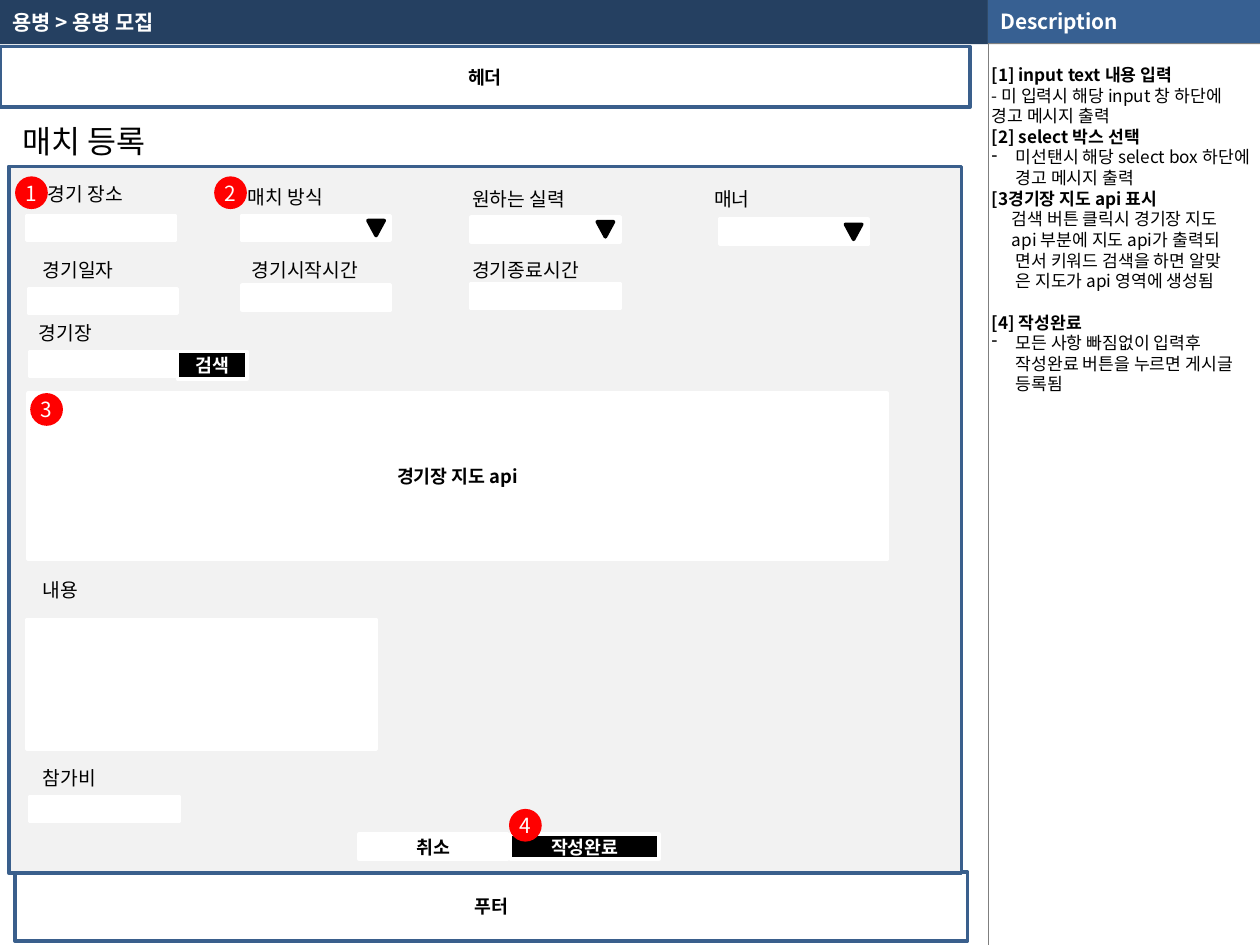
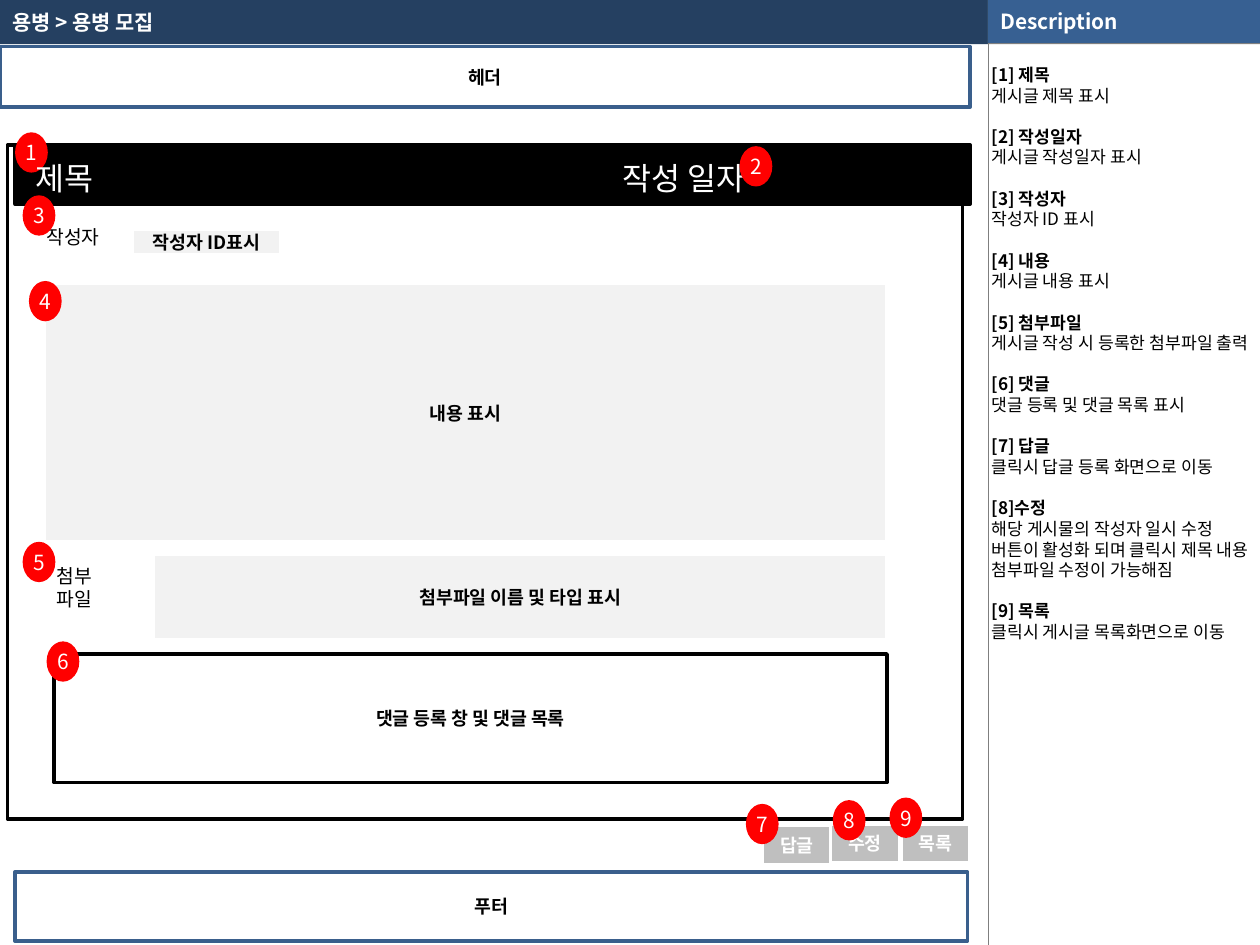
from dataclasses import dataclass

from lxml import etree
from pptx import Presentation
from pptx.dml.color import RGBColor
from pptx.enum.shapes import MSO_CONNECTOR, MSO_SHAPE
from pptx.enum.text import MSO_ANCHOR, PP_ALIGN
from pptx.oxml.ns import qn
from pptx.util import Inches, Pt

RECT, OVAL, MERGE = MSO_SHAPE.RECTANGLE, MSO_SHAPE.OVAL, MSO_SHAPE.FLOWCHART_MERGE
STRAIGHT = MSO_CONNECTOR.STRAIGHT
LEFT, CENTER = PP_ALIGN.LEFT, PP_ALIGN.CENTER
TOP, MIDDLE = MSO_ANCHOR.TOP, MSO_ANCHOR.MIDDLE

# The slide is a grid of 1000 columns by 750 rows.
COLS, ROWS = 1000, 750
WIDTH, HEIGHT = Inches(10), Inches(7.5)
SPLIT, BAND = 784, 35

FONT = "Noto Sans CJK KR"
LEADING = 1.2
HEAD_PT, NOTE_PT, BOX_PT, LABEL_PT, BIG_PT = 11.9, 9.8, 10.5, 11, 18
WHITE, BLACK, RED = "FFFFFF", "000000", "FF0000"
NAVY, BLUE, FRAME = "254061", "376092", "3A5F8C"
PALE, SILVER, GRAY, RULE = "F2F2F2", "BFBFBF", "808080", "7F7F7F"


@dataclass
class Panel:
    col: float
    row: float
    wide: float
    high: float
    text: str = ""
    fill: str = WHITE
    line: str = WHITE
    ink: str = BLACK


@dataclass
class Label:
    col: float
    row: float
    text: str
    wide: float = 173
    high: float = 29
    size: float = LABEL_PT
    ink: str = BLACK


@dataclass
class Badge:
    text: str
    col: float
    row: float
    high: float = 26


@dataclass
class Note:
    text: str
    bold: bool = False
    bullet: bool = False
    inset: float = 0
    gap: bool = False


def rgb(code: str) -> RGBColor:
    return RGBColor.from_string(code)


def across(cols: float) -> int:
    return round(WIDTH * cols / COLS)


def down(rows: float) -> int:
    return round(HEIGHT * rows / ROWS)


def area(col: float, row: float, wide: float, high: float) -> tuple:
    return across(col), down(row), across(wide), down(high)


def style(para, size: float, ink: str, bold: bool = False, align=LEFT) -> None:
    para.alignment = align
    para.line_spacing = Pt(round(size * LEADING, 1))
    font = para.font
    font.name, font.size, font.bold = FONT, Pt(size), bold
    font.color.rgb = rgb(ink)
    base = para._p.pPr.find(qn("a:defRPr"))
    etree.SubElement(base, qn("a:ea"), typeface=FONT)


def pad(frame, side: float, edge: float = 0) -> None:
    frame.margin_left = frame.margin_right = across(side)
    frame.margin_top = frame.margin_bottom = down(edge)


def add_form(slide, kind, place: tuple, fill: str, line: str = ""):
    """Add a flat preset shape, outlined only when a line colour is given."""
    form = slide.shapes.add_shape(kind, *area(*place))
    form.shadow.inherit = False
    form.fill.solid()
    form.fill.fore_color.rgb = rgb(fill)
    if line:
        form.line.color.rgb = rgb(line)
        form.line.width = Pt(2)
    else:
        form.line.fill.background()
    return form


def write(form, text: str, size: float, ink: str, bold: bool, align=CENTER) -> None:
    frame = form.text_frame
    frame.vertical_anchor = MIDDLE
    frame.text = text
    style(frame.paragraphs[0], size, ink, bold, align)


def add_panel(slide, item: Panel) -> None:
    place = (item.col, item.row, item.wide, item.high)
    form = add_form(slide, RECT, place, item.fill, item.line)
    if item.text:
        write(form, item.text, BOX_PT, item.ink, True)


def add_label(slide, item: Label) -> None:
    box = slide.shapes.add_textbox(*area(item.col, item.row, item.wide, item.high))
    frame = box.text_frame
    frame.word_wrap = True
    frame.text = item.text
    style(frame.paragraphs[0], item.size, item.ink)


def add_badge(slide, item: Badge) -> None:
    form = add_form(slide, OVAL, (item.col, item.row, 26, item.high), RED)
    pad(form.text_frame, 0)
    form.text_frame.word_wrap = False
    write(form, item.text, HEAD_PT, WHITE, False)


DRAW = {Panel: add_panel, Label: add_label, Badge: add_badge}


def add_rule(slide, top: float, end: float, ink: str) -> None:
    rule = slide.shapes.add_connector(
        STRAIGHT, across(SPLIT), down(top), across(SPLIT), down(end))
    rule.line.color.rgb = rgb(ink)
    rule.line.width = Pt(0.25)
    etree.SubElement(rule._element.spPr, qn("a:effectLst"))


def add_notes(slide, notes: list[Note]) -> None:
    box = slide.shapes.add_textbox(*area(783, 51, 217, 699))
    frame = box.text_frame
    frame.word_wrap = True
    frame.vertical_anchor = TOP
    pad(frame, 4)
    for rank, note in enumerate(notes):
        para = frame.paragraphs[0] if rank == 0 else frame.add_paragraph()
        para.text = note.text
        props = para._p.get_or_add_pPr()
        if note.bullet:
            props.set("marL", str(across(19)))
            props.set("indent", str(-across(19)))
            etree.SubElement(props, qn("a:buChar"), char="-")
        elif note.inset:
            props.set("marL", str(across(note.inset)))
        if note.gap:
            para.space_before = Pt(round(NOTE_PT * LEADING, 1))
        style(para, NOTE_PT, BLACK, note.bold)


def add_page(deck, notes: list[Note], items: list) -> None:
    """Add a slide with the shared bands, header and footer, then its items."""
    slide = deck.slides.add_slide(deck.slide_layouts[5])
    title = slide.shapes.title
    title.left, title.top, title.width, title.height = area(0, 0, SPLIT, BAND)
    title.fill.solid()
    title.fill.fore_color.rgb = rgb(NAVY)
    write(title, "용병 > 용병 모집", HEAD_PT, WHITE, True, LEFT)

    side = COLS - SPLIT
    add_form(slide, RECT, (SPLIT, 0, side, BAND), GRAY)
    add_rule(slide, 0, BAND, WHITE)
    add_rule(slide, BAND - 1, ROWS, RULE)
    head = add_form(slide, RECT, (SPLIT, 0, side, BAND - 1), BLUE)
    write(head, "Description", HEAD_PT, WHITE, True, LEFT)
    add_notes(slide, notes)

    frames = [Panel(0, 37, 770, 48, "헤더", line=FRAME),
              Panel(12, 692, 756, 55, "푸터", line=FRAME)]
    for item in frames + items:
        DRAW[type(item)](slide, item)
        if item in PICKS:
            add_form(slide, MERGE, (item.col + 100, item.row + 4, 13, 12), BLACK, BLACK)


def field(col: float, row: float) -> Panel:
    return Panel(col, row, 118, 20)


# Fields that open a list carry a triangle.
PICKS = [field(192, 171), field(374, 172), field(571, 174)]

FORM_NOTES = [
    Note("[1] input text 내용 입력", bold=True),
    Note("- 미 입력시 해당 input 창 하단에 경고 메시지 출력"),
    Note("[2] select 박스 선택", bold=True),
    Note("미선탠시 해당 select box 하단에 경고 메시지 출력", bullet=True),
    Note("[3경기장 지도 api 표시", bold=True),
    Note("검색 버튼 클릭시 경기장 지도", inset=16),
    Note("api 부분에 지도 api가 출력되", inset=16),
    Note("면서 키워드 검색을 하면 알맞", inset=19),
    Note("은 지도가 api 영역에 생성됨", inset=19),
    Note("[4] 작성완료", bold=True, gap=True),
    Note("모든 사항 빠짐없이 입력후 작성완료 버튼을 누르면 게시글 등록됨", bullet=True),
]

FORM_ITEMS = [
    Panel(7, 132, 756, 561, fill=PALE, line=FRAME),
    Label(8, 92, "매치 등록", high=40, size=BIG_PT),
    Label(28, 140, "경기 장소"),
    Label(187, 142, "매치 방식"),
    Label(365, 144, "원하는 실력"),
    Label(557, 144, "매너"),
    Label(24, 200, "경기일자"),
    Label(190, 200, "경기시작시간"),
    Label(365, 200, "경기종료시간"),
    Label(21, 250, "경기장"),
    Label(24, 454, "내용"),
    Label(24, 603, "참가비"),
    field(21, 171),
    *PICKS,
    field(23, 229),
    field(192, 226),
    field(374, 225),
    Panel(24, 279, 116, 20),
    Panel(141, 279, 55, 22, "검색", BLACK, ink=WHITE),
    Panel(22, 312, 682, 132, "경기장 지도 api"),
    Panel(21, 492, 278, 103),
    field(24, 632),
    Panel(405, 662, 118, 20, "작성완료", BLACK, ink=WHITE),
    Panel(285, 662, 118, 20, "취소"),
    Badge("1", 12, 140),
    Badge("2", 170, 140),
    Badge("3", 24, 312),
    Badge("4", 404, 642),
]

VIEW_TEXTS = [
    ("[1] 제목", "게시글 제목 표시"),
    ("[2] 작성일자", "게시글 작성일자 표시"),
    ("[3] 작성자", "작성자 ID 표시"),
    ("[4] 내용", "게시글 내용 표시"),
    ("[5] 첨부파일", "게시글 작성 시 등록한 첨부파일 출력"),
    ("[6] 댓글", "댓글 등록 및 댓글 목록 표시"),
    ("[7] 답글", "클릭시 답글 등록 화면으로 이동"),
    ("[8]수정", "해당 게시물의 작성자 일시 수정 버튼이 활성화 되며 "
               "클릭시 제목 내용 첨부파일 수정이 가능해짐"),
    ("[9] 목록", "클릭시 게시글 목록화면으로 이동"),
]
VIEW_NOTES = [
    note for rank, (head, body) in enumerate(VIEW_TEXTS)
    for note in (Note(head, bold=True, gap=rank > 0), Note(body))
]

TALL = 32
VIEW_ITEMS = [
    Panel(6, 115, 758, 535, line=BLACK),
    Panel(12, 115, 758, 47, fill=BLACK, line=BLACK),
    Label(27, 174, "작성자", 71),
    Panel(105, 182, 118, 20, "작성자 ID표시", PALE),
    Panel(35, 225, 669, 205, "내용 표시", PALE),
    Label(35, 443, "첨부 파일", 71, 47),
    Panel(122, 440, 582, 68, "첨부파일 이름 및 타입 표시", PALE),
    Panel(605, 655, 55, 31, "답글", SILVER, ink=WHITE),
    Panel(659, 654, 55, 31, "수정", SILVER, ink=WHITE),
    Panel(715, 654, 55, 31, "목록", SILVER, ink=WHITE),
    Panel(43, 519, 661, 102, "댓글 등록 창 및 댓글 목록", line=BLACK),
    Badge("1", 12, 105, TALL),
    Label(18, 121, "제목", high=40, size=BIG_PT, ink=WHITE),
    Label(484, 121, "작성 일자", high=40, size=BIG_PT, ink=WHITE),
    Badge("2", 587, 116, TALL),
    Badge("3", 18, 155, TALL),
    Badge("4", 23, 223, TALL),
    Badge("5", 18, 430, TALL),
    Badge("6", 37, 509, TALL),
    Badge("7", 592, 638, TALL),
    Badge("8", 661, 635, TALL),
    Badge("9", 706, 633, TALL),
]


def main() -> None:
    deck = Presentation()
    deck.slide_width, deck.slide_height = WIDTH, HEIGHT
    add_page(deck, FORM_NOTES, FORM_ITEMS)
    add_page(deck, VIEW_NOTES, VIEW_ITEMS)
    deck.save("out.pptx")


if __name__ == "__main__":
    main()
